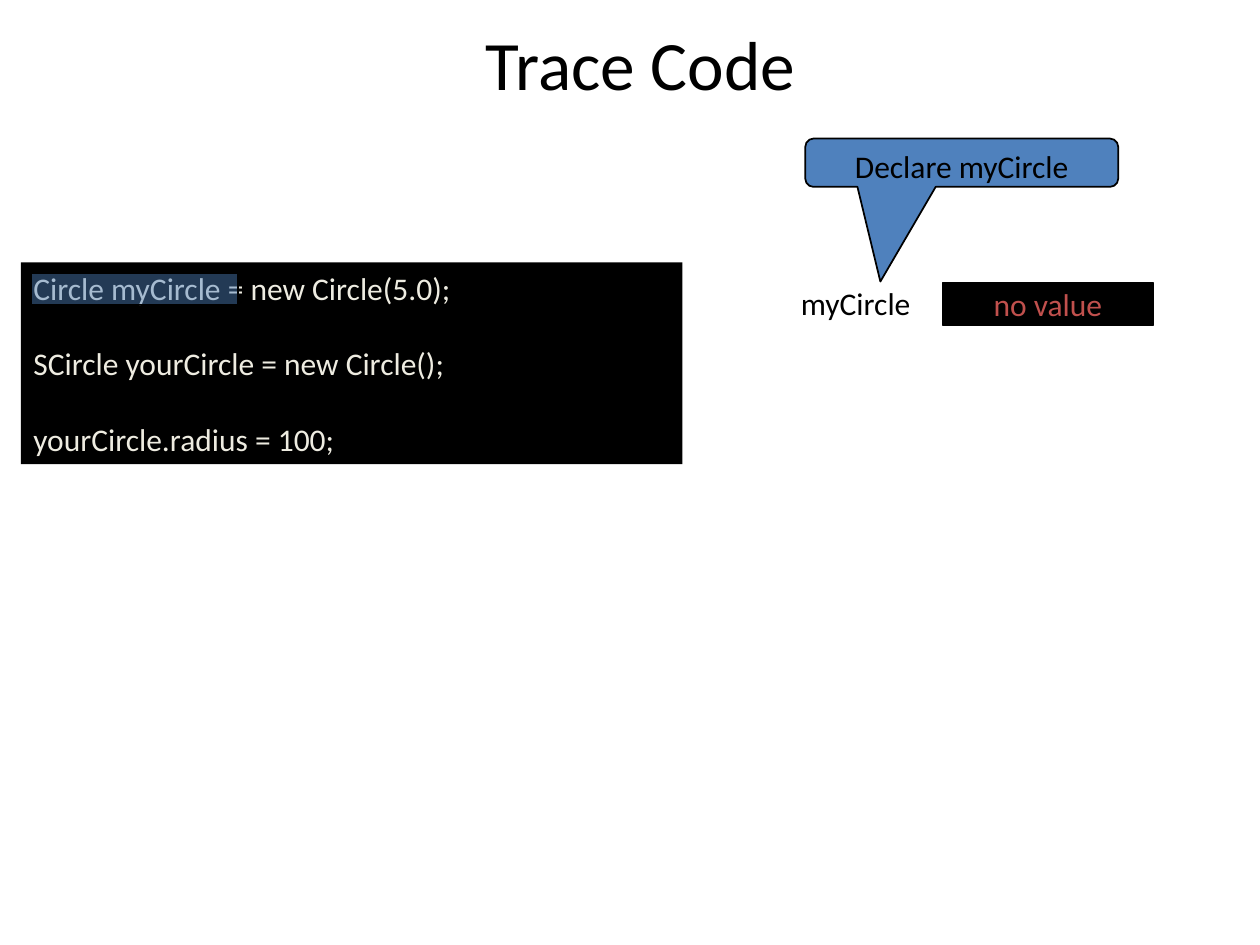
"""Build the Trace Code slide on a grid of 120 columns by 90 rows."""
from dataclasses import dataclass
from typing import Optional

from lxml.etree import SubElement
from pptx import Presentation
from pptx.dml.color import RGBColor
from pptx.enum.shapes import MSO_SHAPE
from pptx.enum.text import MSO_ANCHOR, PP_ALIGN
from pptx.oxml.ns import qn
from pptx.util import Inches, Pt

COLORS = {"black": "000000", "blue": "4F81BD", "cream": "EEECE1", "red": "C0504D"}
COLS, ROWS = 120, 90
FONT = "Calibri"


@dataclass
class Box:
    col: float
    row: float
    cols: float
    rows: float
    fill: Optional[str] = None
    line: Optional[str] = None
    lines: tuple[str, ...] = ()
    color: str = "black"
    align: PP_ALIGN = PP_ALIGN.LEFT
    anchor: MSO_ANCHOR = MSO_ANCHOR.TOP
    inset: Optional[float] = None
    wrap: bool = True
    opacity: int = 100
    shape: MSO_SHAPE = MSO_SHAPE.RECTANGLE
    adjustments: tuple[float, ...] = ()


BOXES = [
    Box(2, 25, 63, 19.2, "black", color="cream",
        lines=("Circle myCircle = new Circle(5.0);",
               "SCircle yourCircle = new Circle();",
               "yourCircle.radius = 100;")),
    Box(3, 26, 19.7, 3, "blue", "black", opacity=45),
    Box(76.7, 13.2, 29.8, 4.6, "blue", "black", ("Declare myCircle",),
        align=PP_ALIGN.CENTER, shape=MSO_SHAPE.ROUNDED_RECTANGULAR_CALLOUT,
        adjustments=(-0.26, 2.46, 0.17)),
    Box(89.8, 26.9, 20, 4.1, "black", "black", ("no value",), "red",
        PP_ALIGN.CENTER, MSO_ANCHOR.MIDDLE, 0.01, False),
    Box(75.1, 26.5, 14.9, 4.8, lines=("myCircle",)),
]


def rgb(name: str) -> RGBColor:
    """Look up a named colour."""
    return RGBColor.from_string(COLORS[name])


def place(prs, sp, col: float, row: float, cols: float, rows: float) -> None:
    """Move a shape to its grid cell."""
    sp.left, sp.width = (round(prs.slide_width * n / COLS) for n in (col, cols))
    sp.top, sp.height = (round(prs.slide_height * n / ROWS) for n in (row, rows))


def style(p, size: float, color: str, align: PP_ALIGN) -> None:
    """Format a paragraph and its runs."""
    p.alignment = align
    for r in p.runs:
        r.font.name, r.font.size = FONT, Pt(size)
        r.font.color.rgb = rgb(color)


def draw(prs, s, box: Box) -> None:
    """Draw a box with its text."""
    if box.fill:
        sp = s.shapes.add_shape(box.shape, 0, 0, 0, 0)
        sp.shadow.inherit = False
        sp.fill.solid()
        sp.fill.fore_color.rgb = rgb(box.fill)
        if box.line:
            sp.line.color.rgb = rgb(box.line)
            sp.line.width = Pt(1)
        else:
            sp.line.fill.background()
        if box.opacity < 100:
            clr = sp.fill._xPr.find(qn("a:solidFill"))[0]
            SubElement(clr, qn("a:alpha"), val=str(box.opacity * 1000))
        for i, value in enumerate(box.adjustments):
            sp.adjustments[i] = value
    else:
        sp = s.shapes.add_textbox(0, 0, 0, 0)
    place(prs, sp, box.col, box.row, box.cols, box.rows)
    if not box.lines:
        return
    tf = sp.text_frame
    tf.text = "\n".join(box.lines)
    tf.word_wrap, tf.vertical_anchor = box.wrap, box.anchor
    if box.inset is not None:
        tf.margin_left = tf.margin_right = Inches(box.inset)
        tf.margin_top = tf.margin_bottom = Inches(box.inset)
    for i, p in enumerate(tf.paragraphs):
        style(p, 18, box.color, box.align)
        if i:
            p.space_before = Pt(21.6)


def main() -> None:
    """Build and save the slide."""
    prs = Presentation()
    prs.slide_width, prs.slide_height = Inches(10), Inches(7.5)
    s = prs.slides.add_slide(prs.slide_layouts[5])
    title = s.shapes.title
    place(prs, title, 10, 2, 102, 8)
    title.text_frame.text = "Trace Code"
    title.text_frame.vertical_anchor = MSO_ANCHOR.MIDDLE
    style(title.text_frame.paragraphs[0], 39.6, "black", PP_ALIGN.CENTER)
    for box in BOXES:
        draw(prs, s, box)
    prs.save("out.pptx")


main()
